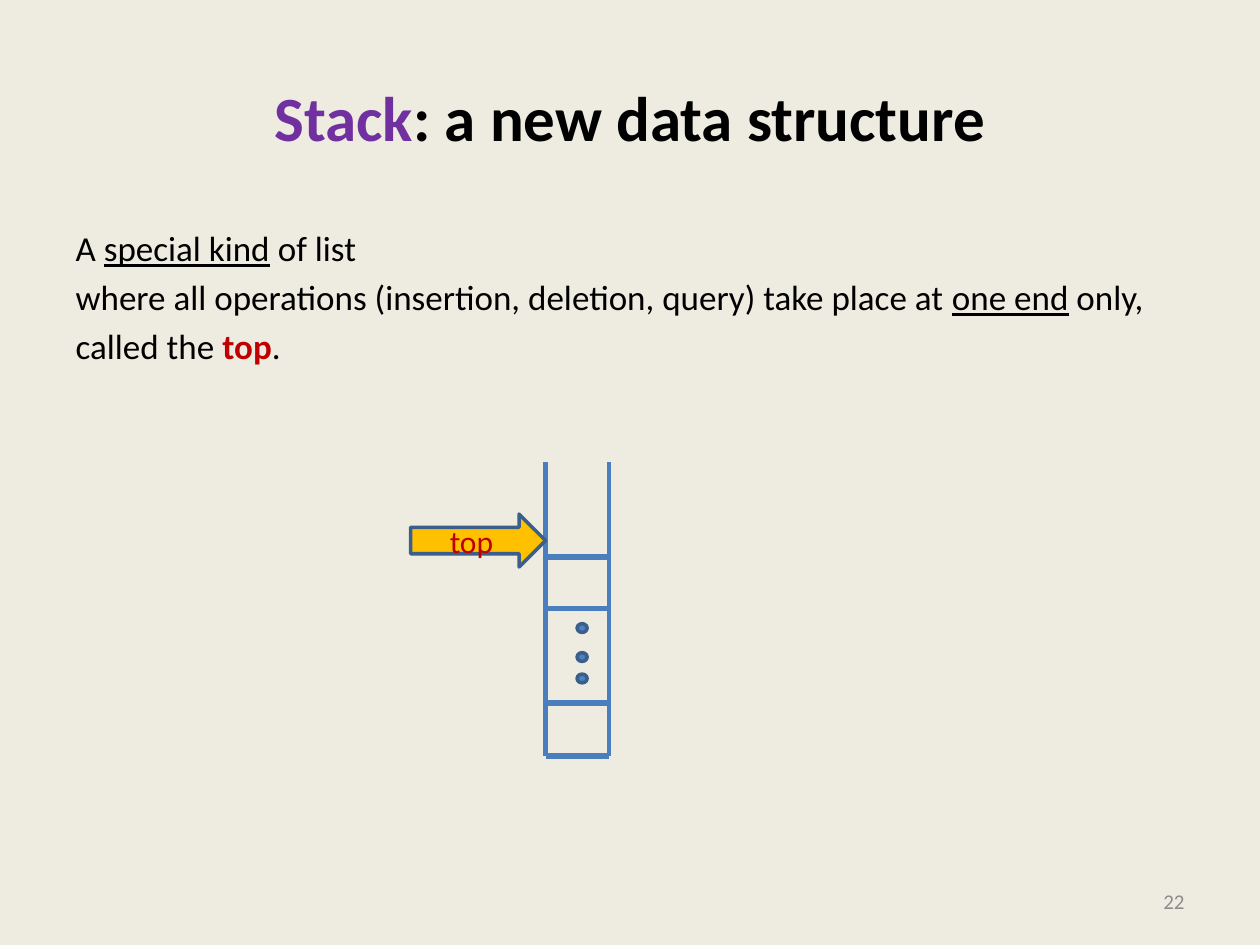
"""Build a slide that introduces the stack data structure."""
from lxml.etree import SubElement
from pptx import Presentation
from pptx.dml.color import RGBColor
from pptx.enum.shapes import MSO_CONNECTOR as Link, MSO_SHAPE as Shape
from pptx.enum.text import MSO_ANCHOR as Anchor, PP_ALIGN as Align
from pptx.oxml.ns import qn
from pptx.util import Inches, Pt

BLACK = RGBColor(0x00, 0x00, 0x00)
PURPLE = RGBColor(0x70, 0x30, 0xA0)
RED = RGBColor(0xC0, 0x00, 0x00)
GRAY = RGBColor(0x8C, 0x8C, 0x8C)
CREAM = RGBColor(0xEE, 0xEC, 0xE1)
BLUE = RGBColor(0x4F, 0x81, 0xBD)
RAIL = RGBColor(0x4B, 0x7E, 0xBC)
EDGE = RGBColor(0x3A, 0x5F, 0x8C)
GOLD = RGBColor(0xFF, 0xC0, 0x00)

TITLE = [("Stack", PURPLE, True, False), (": a new data structure", BLACK, True, False)]
BODY = [
    [("A ", BLACK, False, False), ("special kind", BLACK, False, True),
     (" of list", BLACK, False, False)],
    [("where all operations (insertion, deletion, query) take place at ", BLACK, False, False),
     ("one end", BLACK, False, True), (" only,", BLACK, False, False)],
    [("called the ", BLACK, False, False), ("top", RED, True, False),
     (".", BLACK, False, False)],
]
PAGE = [("22", GRAY, False, False)]
LABEL = [("top", RED, False, False)]

LEFT, RIGHT, MOUTH, BASE = 4.33, 4.83, 3.67, 6
RAILS = [(LEFT, 3), (RIGHT, 2.25)]
RUNGS = [BASE, 5.58, 4.42, 4.83]
DOTS = [4.95, 5.18, 5.35]


def place(shape, *box):
    shape.left, shape.top, shape.width, shape.height = map(Inches, box)


def write(para, runs, size, align):
    para.alignment = align
    for text, color, bold, under in runs:
        run = para.add_run()
        run.text = text
        font = run.font
        font.name, font.size = "Calibri", Pt(size)
        font.bold, font.underline = bold, under
        font.color.rgb = color


def rule(slide, start, end, width):
    line = slide.shapes.add_connector(Link.STRAIGHT, *map(Inches, start + end))
    line.line.color.rgb = RAIL
    line.line.width = Pt(width)
    SubElement(line._element.spPr, qn("a:effectLst"))


def solid(slide, kind, box, fill):
    shape = slide.shapes.add_shape(kind, *map(Inches, box))
    shape.shadow.inherit = False
    shape.fill.solid()
    shape.fill.fore_color.rgb = fill
    shape.line.color.rgb = EDGE
    shape.line.width = Pt(2)
    return shape


def fill_text(slide):
    title, body = slide.placeholders
    place(title, 0.5, 0.3, 9, 1.25)
    title.text_frame.vertical_anchor = Anchor.MIDDLE
    write(title.text_frame.paragraphs[0], TITLE, 36, Align.CENTER)
    place(body, 0.5, 1.75, 9, 4.95)
    frame = body.text_frame
    for row, runs in enumerate(BODY):
        para = frame.add_paragraph() if row else frame.paragraphs[0]
        props = para._p.get_or_add_pPr()
        props.set("marL", "0")
        props.set("indent", "0")
        SubElement(props, qn("a:buNone"))
        para.space_before = Pt(4 if row else 0)
        write(para, runs, 20, Align.LEFT)
    page = slide.shapes.add_textbox(*map(Inches, (7.17, 6.95, 2.33, 0.4))).text_frame
    page.word_wrap = True
    page.vertical_anchor = Anchor.MIDDLE
    write(page.paragraphs[0], PAGE, 12, Align.RIGHT)


def draw_stack(slide):
    for x, width in RAILS:
        rule(slide, (x, MOUTH), (x, BASE), width)
    for y in RUNGS:
        rule(slide, (LEFT, y), (RIGHT, y), 3)
    for y in DOTS:
        solid(slide, Shape.OVAL, (4.58, y, 0.08, 0.07), BLUE)
    arrow = solid(slide, Shape.RIGHT_ARROW, (3.26, 4.08, 1.07, 0.42), GOLD)
    arrow.text_frame.vertical_anchor = Anchor.MIDDLE
    write(arrow.text_frame.paragraphs[0], LABEL, 18, Align.CENTER)


def main():
    deck = Presentation()
    deck.slide_width, deck.slide_height = Inches(10), Inches(7.5)
    slide = deck.slides.add_slide(deck.slide_layouts[1])
    slide.background.fill.solid()
    slide.background.fill.fore_color.rgb = CREAM
    fill_text(slide)
    draw_stack(slide)
    deck.save("out.pptx")


if __name__ == "__main__":
    main()
